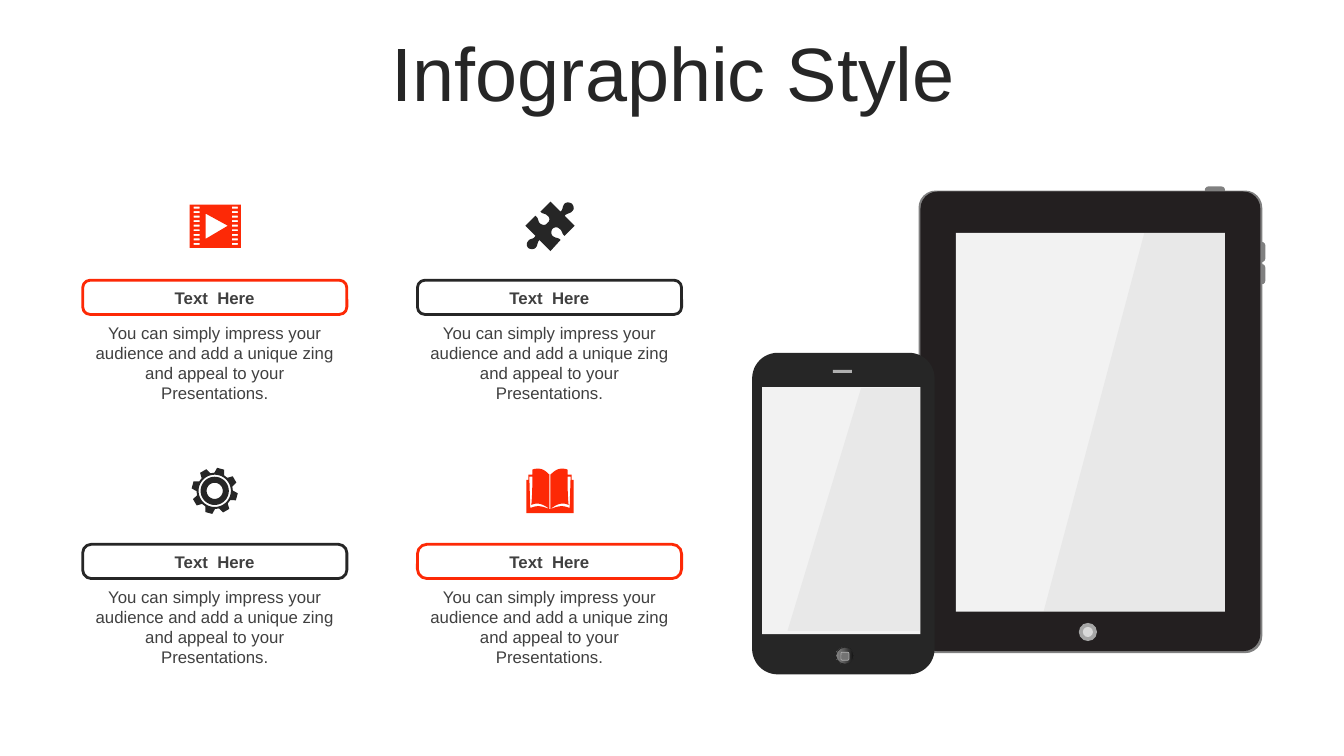
import copy
import math
from dataclasses import dataclass
from typing import Callable

import pptx
import pptx.dml.color
import pptx.enum.shapes
import pptx.enum.text
import pptx.oxml
import pptx.oxml.ns
import pptx.util

Inches = pptx.util.Inches
RGBColor = pptx.dml.color.RGBColor
Kind = pptx.enum.shapes.MSO_SHAPE
Align = pptx.enum.text.PP_ALIGN
Anchor = pptx.enum.text.MSO_ANCHOR
Fit = pptx.enum.text.MSO_AUTO_SIZE
qn = pptx.oxml.ns.qn

RED = RGBColor(0xFD, 0x29, 0x06)
DARK = RGBColor(0x26, 0x26, 0x26)
BLACK = RGBColor(0x23, 0x1F, 0x20)
TEXT = RGBColor(0x40, 0x40, 0x40)
EDGE = RGBColor(0x80, 0x80, 0x80)
SCREEN = RGBColor(0xF2, 0xF2, 0xF2)
GLARE = RGBColor(0x99, 0x99, 0x99)
SILVER = RGBColor(0xB0, 0xB0, 0xB0)
HOME_RIM = RGBColor(0xA6, 0xA6, 0xA6)
HOME_CENTRE = RGBColor(0xD9, 0xD9, 0xD9)
HOME_SQUARE = RGBColor(0x73, 0x73, 0x73)
HOME_GRADIENT = [(0, RGBColor(0x0F, 0x0F, 0x0F)), (0.56, RGBColor(0x59, 0x59, 0x59)),
                 (0.91, EDGE), (1, RGBColor(0xBF, 0xBF, 0xBF))]

DETAIL_FORMAT = {"name": "Arial", "size": pptx.util.Pt(12), "bold": False}
LABEL_FORMAT = {**DETAIL_FORMAT, "bold": True}
TITLE_FORMAT = {**DETAIL_FORMAT, "size": pptx.util.Pt(54)}

LABEL = "Text  Here"
DETAIL = "You can simply impress your audience and add a unique zing and appeal to your Presentations."

PUZZLE = """M 5.67 2.02 C 5.69 2.04 5.7 2.07 5.68 2.09 C 5.66 2.12 5.63 2.11 5.6 2.14
L 5.7 2.24 L 5.6 2.34 C 5.57 2.32 5.58 2.29 5.55 2.27 C 5.53 2.25 5.5 2.25 5.48 2.27
C 5.47 2.28 5.46 2.32 5.48 2.34 C 5.52 2.37 5.53 2.35 5.56 2.38 L 5.46 2.49 L 5.35 2.38
C 5.32 2.42 5.34 2.43 5.31 2.46 C 5.29 2.48 5.25 2.47 5.24 2.46 C 5.22 2.44 5.22 2.41 5.24 2.39
C 5.26 2.36 5.29 2.38 5.31 2.34 L 5.21 2.24 L 5.31 2.14 C 5.35 2.17 5.33 2.2 5.36 2.22
C 5.39 2.24 5.42 2.23 5.43 2.21 C 5.45 2.2 5.46 2.16 5.43 2.14 C 5.4 2.11 5.39 2.13 5.36 2.1
L 5.46 2 L 5.56 2.1 C 5.59 2.07 5.57 2.06 5.6 2.02 C 5.62 2 5.66 2.01 5.67 2.02"""
BOOK_COVER = """M 5.46 4.71 C 5.5 4.67 5.53 4.65 5.57 4.65 C 5.59 4.65 5.61 4.65 5.63 4.66
L 5.63 4.71 L 5.67 4.71 L 5.67 4.76 L 5.69 4.76 L 5.69 5.09"""
BOOK_PAGE_EDGE = """M 5.46 5.05 C 5.54 5.02 5.58 5.01 5.65 5.04 L 5.66 4.73 L 5.63 4.73
C 5.63 4.82 5.63 4.91 5.64 5.01 C 5.58 4.98 5.52 5 5.46 5.05"""

Point = tuple[float, float]
Contour = list[Point]


def flatten(outline: str) -> Contour:
    """Turn M, L and C commands into points, sampling each curve."""
    points: Contour = []
    tokens = iter(outline.split())
    for command in tokens:
        ends = [(float(next(tokens)), float(next(tokens))) for _ in range(3 if command == "C" else 1)]
        if command != "C":
            points += ends
            continue
        curve = [points[-1], *ends]
        for step in range(1, 9):
            t = step / 8
            weights = [math.comb(3, i) * t**i * (1 - t)**(3 - i) for i in range(4)]
            points.append((sum(w * x for w, (x, _) in zip(weights, curve)),
                           sum(w * y for w, (_, y) in zip(weights, curve))))
    return points


def box(left: float, top: float, width: float, height: float) -> Contour:
    return [(left, top), (left + width, top), (left + width, top + height), (left, top + height)]


def around(centre: Point, radius: float, degrees: float) -> Point:
    angle = math.radians(degrees)
    return centre[0] + radius * math.sin(angle), centre[1] - radius * math.cos(angle)


def film() -> list[Contour]:
    holes = [box(left, 2.05 + 0.36 * row / 8, 0.06, 0.02) for row in range(9) for left in (1.92, 2.3)]
    return [box(1.88, 2.03, 0.51, 0.43), [(2.04, 2.12), (2.04, 2.37), (2.26, 2.24)], *holes]


def puzzle() -> list[Contour]:
    return [flatten(PUZZLE)]


def gear() -> list[Contour]:
    centre = (2.13, 4.87)
    tooth = [(-16, 0.18), (-9, 0.23), (9, 0.23), (16, 0.18)]
    teeth = [around(centre, radius, 15 + 45 * i + turn) for i in range(8) for turn, radius in tooth]
    rings = [[around(centre, radius, degrees) for degrees in range(0, 360, 6)]
             for radius in (0.16, 0.14, 0.08)]
    return [teeth, *rings]


def book() -> list[Contour]:
    def mirrored(half: Contour) -> Contour:
        return [(5.45 + 5.46 - x, y) for x, y in reversed(half)]

    cover, page_edge = flatten(BOOK_COVER), flatten(BOOK_PAGE_EDGE)
    spine = box(5.45, 4.71, 0.01, 0.34)
    return [cover + mirrored(cover), page_edge, mirrored(page_edge), spine]


@dataclass
class Topic:
    left: float
    top: float
    accent: RGBColor
    rounding: float
    icon: Callable[[], list[Contour]]


@dataclass
class Part:
    """A piece of a device."""
    kind: Kind
    left: float
    top: float
    width: float
    height: float
    color: RGBColor
    rounding: float = 0


TOPICS = [
    Topic(0.82, 2.78, RED, 0.22, film),
    Topic(4.14, 2.78, DARK, 0.22, puzzle),
    Topic(0.82, 5.4, DARK, 0.25, gear),
    Topic(4.14, 5.4, RED, 0.28, book),
]
TABLET = [
    Part(Kind.ROUNDED_RECTANGLE, 11.95, 1.85, 0.2, 0.07, EDGE, 0.5),
    *[Part(Kind.ROUNDED_RECTANGLE, 12.48, top, 0.07, 0.2, EDGE, 0.5) for top in (2.4, 2.62)],
    Part(Kind.ROUNDED_RECTANGLE, 9.11, 1.89, 3.41, 4.59, EDGE, 0.05),
    Part(Kind.ROUNDED_RECTANGLE, 9.13, 1.9, 3.37, 4.56, BLACK, 0.05),
    Part(Kind.RECTANGLE, 9.48, 2.31, 2.67, 3.76, SCREEN),
    Part(Kind.OVAL, 10.7, 6.18, 0.18, 0.18, HOME_RIM),
    Part(Kind.OVAL, 10.74, 6.22, 0.1, 0.1, HOME_CENTRE),
]
TABLET_GLARE = [(11.35, 2.31), (12.15, 2.31), (12.15, 6.07), (10.35, 6.07)]
PHONE = [
    Part(Kind.ROUNDED_RECTANGLE, 7.46, 3.5, 1.81, 3.19, DARK, 0.14),
    Part(Kind.RECTANGLE, 8.26, 3.67, 0.19, 0.03, SILVER),
    Part(Kind.RECTANGLE, 7.56, 3.84, 1.57, 2.45, SCREEN),
]
PHONE_GLARE = [(8.54, 3.85), (9.13, 3.85), (9.13, 6.26), (7.81, 6.26)]
PHONE_HOME = Part(Kind.OVAL, 8.29, 6.42, 0.18, 0.17, EDGE)
PHONE_SQUARE = Part(Kind.ROUNDED_RECTANGLE, 8.34, 6.47, 0.08, 0.08, HOME_SQUARE, 0.17)


def paint(shape, color: RGBColor):
    shape.shadow.inherit = False
    shape.fill.solid()
    shape.fill.fore_color.rgb = color
    shape.line.fill.background()
    return shape


def draw_part(slide, part: Part):
    shape = slide.shapes.add_shape(part.kind, *map(Inches, (part.left, part.top, part.width, part.height)))
    if part.rounding:
        shape.adjustments[0] = part.rounding
    return paint(shape, part.color)


def draw_contours(slide, contours: list[Contour], color: RGBColor):
    builder = None
    for contour in contours:
        start, *rest = [(Inches(x), Inches(y)) for x, y in contour]
        if builder is None:
            builder = slide.shapes.build_freeform(*start)
        else:
            builder.move_to(*start)
        builder.add_line_segments(rest, close=True)
    return paint(builder.convert_to_shape(), color)


def draw_glare(slide, corners: Contour) -> None:
    glare = draw_contours(slide, [corners], GLARE)
    color = glare.fill._xPr.find(qn("a:solidFill"))[0]
    pptx.oxml.xmlchemy.OxmlElement("a:alpha")
    alpha = pptx.oxml.xmlchemy.OxmlElement("a:alpha")
    alpha.set("val", "10000")
    color.append(alpha)


def draw_phone_home(slide) -> None:
    button = draw_part(slide, PHONE_HOME)
    button.line.color.rgb = DARK
    button.line.width = 0
    button.fill.gradient()
    button.fill.gradient_angle = 180
    stops = next(button._element.iter(qn("a:gsLst")))
    while len(stops) < len(HOME_GRADIENT):
        stops.append(copy.deepcopy(stops[0]))
    for stop, (position, color) in zip(button.fill.gradient_stops, HOME_GRADIENT):
        stop.position, stop.color.rgb = position, color
    square = draw_part(slide, PHONE_SQUARE)
    square.line.color.rgb = SILVER
    square.line.width = pptx.util.Pt(0.5)


def write(shape, text: str, font_format: dict, color: RGBColor, anchor: Anchor):
    frame = shape.text_frame
    frame.word_wrap, frame.auto_size, frame.vertical_anchor = True, Fit.NONE, anchor
    paragraph = frame.paragraphs[0]
    paragraph.alignment = Align.CENTER
    run = paragraph.add_run()
    run.text = text
    for attribute, value in font_format.items():
        setattr(run.font, attribute, value)
    run.font.color.rgb = color
    return paragraph


def draw_topic(slide, topic: Topic) -> None:
    detail = slide.shapes.add_textbox(*map(Inches, (topic.left, topic.top + 0.37, 2.62, 0.91)))
    write(detail, DETAIL, DETAIL_FORMAT, TEXT, Anchor.TOP)
    label = draw_part(slide, Part(Kind.ROUNDED_RECTANGLE, topic.left, topic.top, 2.62, 0.34,
                                  topic.accent, topic.rounding))
    label.fill.background()
    label.line.color.rgb = topic.accent
    label.line.width = pptx.util.Pt(2)
    write(label, LABEL, LABEL_FORMAT, TEXT, Anchor.MIDDLE)
    draw_contours(slide, topic.icon(), topic.accent)


def main() -> None:
    deck = pptx.Presentation()
    deck.slide_width, deck.slide_height = Inches(13.33), Inches(7.5)
    slide = deck.slides.add_slide(deck.slide_layouts[5])

    title = slide.shapes.title
    title.left, title.top, title.width, title.height = map(Inches, (0.35, 0.37, 12.66, 0.79))
    write(title, "Infographic Style", TITLE_FORMAT, DARK, Anchor.MIDDLE).line_spacing = 0.9

    for part in TABLET:
        draw_part(slide, part)
    draw_glare(slide, TABLET_GLARE)
    for part in PHONE:
        draw_part(slide, part)
    draw_glare(slide, PHONE_GLARE)
    draw_phone_home(slide)
    for topic in TOPICS:
        draw_topic(slide, topic)

    deck.save("out.pptx")


if __name__ == "__main__":
    main()
